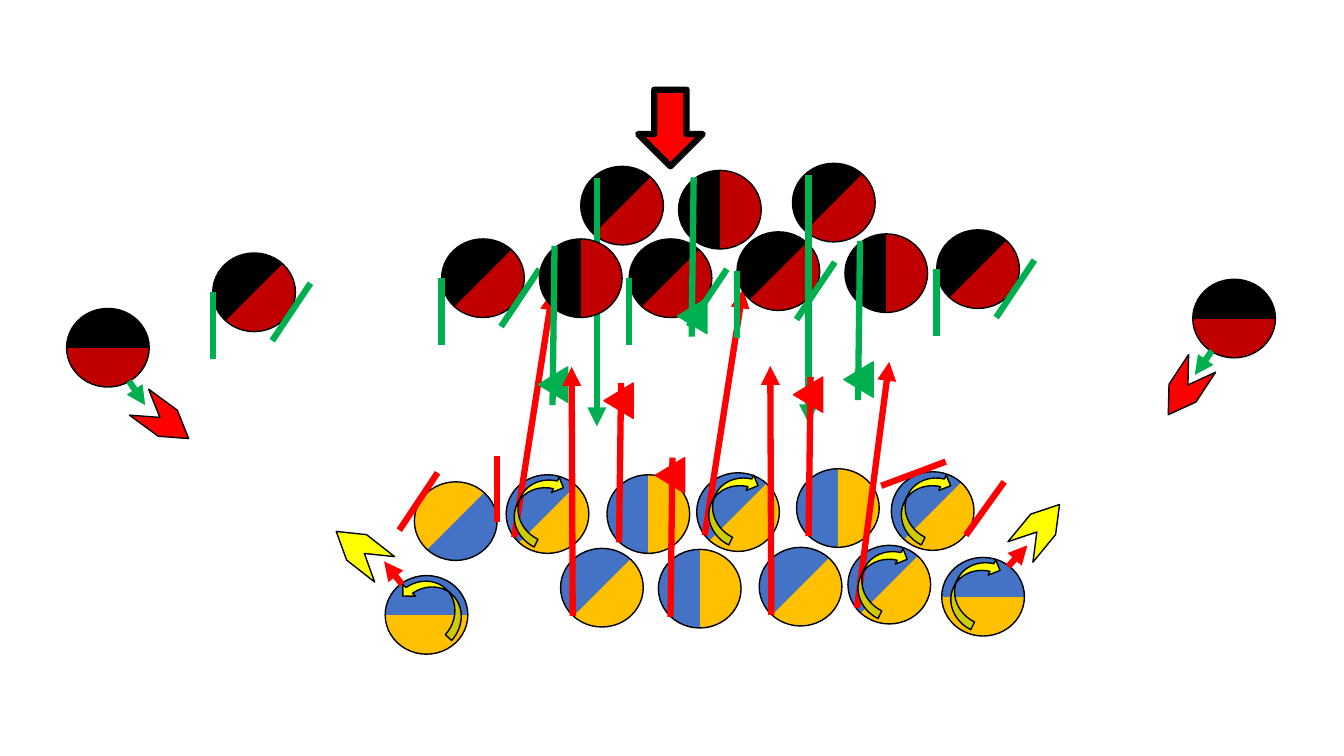
"""Draw a play diagram: two teams of split discs with their moves and keys."""
from lxml.etree import SubElement
from pptx import Presentation
from pptx.dml.color import RGBColor
from pptx.enum.shapes import MSO_CONNECTOR, MSO_SHAPE
from pptx.oxml.ns import qn
from pptx.util import Inches, Pt

BLACK = RGBColor(0x00, 0x00, 0x00)
CRIMSON = RGBColor(0xC0, 0x00, 0x00)
BLUE = RGBColor(0x44, 0x72, 0xC4)
GOLD = RGBColor(0xFF, 0xC0, 0x00)
GREEN = RGBColor(0x00, 0xB0, 0x50)
RED = RGBColor(0xFF, 0x00, 0x00)
YELLOW = RGBColor(0xFF, 0xFF, 0x00)

deck = Presentation()
deck.slide_width, deck.slide_height = Inches(13.33), Inches(7.5)
slide = deck.slides.add_slide(deck.slide_layouts[6])
cell = deck.slide_width // 1333


def add_form(shapes, kind, left, top, size, edge, width=1, fill=None, turn=0):
    form = shapes.add_shape(kind, left * cell, top * cell, size[0] * cell, size[1] * cell)
    form.shadow.inherit = False
    form.rotation = turn
    form.line.color.rgb = edge
    form.line.width = Pt(width)
    if fill is not None:
        form.fill.solid()
        form.fill.fore_color.rgb = fill
    return form


def add_stroke(shapes, left, top, move, color, head):
    ends = [(base + step) * cell for base, step in zip((left, top) * 2, move)]
    stroke = shapes.add_connector(MSO_CONNECTOR.STRAIGHT, *ends)
    stroke.line.color.rgb = color
    stroke.line.width = Pt(4.5)
    if head:
        SubElement(stroke.line._get_or_add_ln(), qn("a:tailEnd"), type="triangle")
    SubElement(stroke._element.spPr, qn("a:effectLst"))


# Each move: strokes from the disc's corner, arrowhead, corner of the block wedge
MOVES = {
    "zone": ([(59, 87, 97, 30), (0, 39, 0, 105)], False, None),
    "drop": ([(16, 12, 16, 258)], True, None),
    "fill": ([(15, 7, 13, 165)], False, (-4, 130)),
    "left edge": ([(62, 72, 78, 96)], True, None),
    "right edge": ([(19, 71, 2, 95)], True, None),
    "pull": ([(8, 62, 46, -182)], True, None),
    "slant": ([(9, 62, 41, -182)], True, None),
    "block": ([(12, 67, 14, -91)], False, (-6, -88)),
    "run": ([(12, 67, 11, -180)], True, None),
    "left wing": ([(17, 9, -1, -14)], True, None),
    "right wing": ([(66, 9, 85, -12)], True, None),
    "left guard": ([(23, -9, -15, 48), (82, 40, 82, -26)], False, None),
    "right guard": ([(54, -10, -10, 14), (74, 63, 112, 10)], False, None),
}
DARK = (BLACK, CRIMSON, GREEN)
LIGHT = (BLUE, GOLD, RED)
SWAP = (GOLD, BLUE, RED)
SLASH, DOWN, SIDE = 315, 270, 0
PLAYERS = [
    (502, 471, LIGHT, SLASH, "pull"), (691, 469, LIGHT, SLASH, "pull"),
    (1183, 277, DARK, DOWN, "right edge"), (731, 230, DARK, SLASH, "zone"),
    (66, 306, DARK, DOWN, "left edge"), (211, 251, DARK, SLASH, "zone"),
    (929, 228, DARK, SLASH, "zone"), (624, 237, DARK, SLASH, "zone"),
    (786, 162, DARK, SLASH, "drop"), (576, 165, DARK, SLASH, "drop"),
    (673, 169, DARK, SIDE, "fill"), (838, 232, DARK, SIDE, "fill"),
    (438, 237, DARK, SLASH, "zone"), (535, 237, DARK, SIDE, "fill"),
    (602, 471, LIGHT, SIDE, "block"), (382, 571, LIGHT, DOWN, "left wing"),
    (790, 465, LIGHT, SIDE, "block"), (753, 543, LIGHT, SLASH, "run"),
    (556, 544, LIGHT, SLASH, "run"), (934, 553, LIGHT, DOWN, "right wing"),
    (841, 541, LIGHT, SLASH, "slant"), (653, 545, LIGHT, SIDE, "block"),
    (884, 468, LIGHT, SLASH, "right guard"), (411, 478, SWAP, SLASH, "left guard"),
]
for left, top, (first, second, color), split, name in PLAYERS:
    shapes = slide.shapes.add_group_shape().shapes
    disc = add_form(shapes, MSO_SHAPE.OVAL, left, top, (82, 78), BLACK)
    disc.fill.gradient()
    disc.fill.gradient_angle = split
    for stop, tint in zip(disc.fill.gradient_stops, (first, second)):
        stop.color.rgb = tint
        stop.position = 0.5
    strokes, head, wedge = MOVES[name]
    for move in strokes:
        add_stroke(shapes, left, top, move, color, head)
    if wedge:
        add_form(shapes, MSO_SHAPE.ISOSCELES_TRIANGLE, left + wedge[0], top + wedge[1],
                 (35, 29), color, fill=color, turn=270)

add_form(slide.shapes, MSO_SHAPE.DOWN_ARROW, 633, 89, (64, 76), BLACK, 4.5, RED)

CURLS = [(415, 561, 312.3, ["flipV"])] + [
    (left, top, 26.3, ["flipH", "flipV"])
    for left, top in [(514, 465), (707, 463), (855, 536), (898, 463), (947, 547)]
]
for left, top, turn, flips in CURLS:
    curl = add_form(slide.shapes, MSO_SHAPE.CURVED_LEFT_ARROW, left, top, (34, 74),
                    BLACK, fill=YELLOW, turn=turn)
    for flip in flips:
        curl._element.spPr.xfrm.set(flip, "1")

for left, top, turn, fill in [(327, 530, 218.1, YELLOW), (132, 401, 36.3, RED),
                              (1145, 370, 123.4, RED), (1001, 508, 309.5, YELLOW)]:
    mark = add_form(slide.shapes, MSO_SHAPE.CHEVRON, left, top, (61, 32),
                    BLACK, fill=fill, turn=turn)
    mark.adjustments[0] = 0.8

deck.save("out.pptx")
